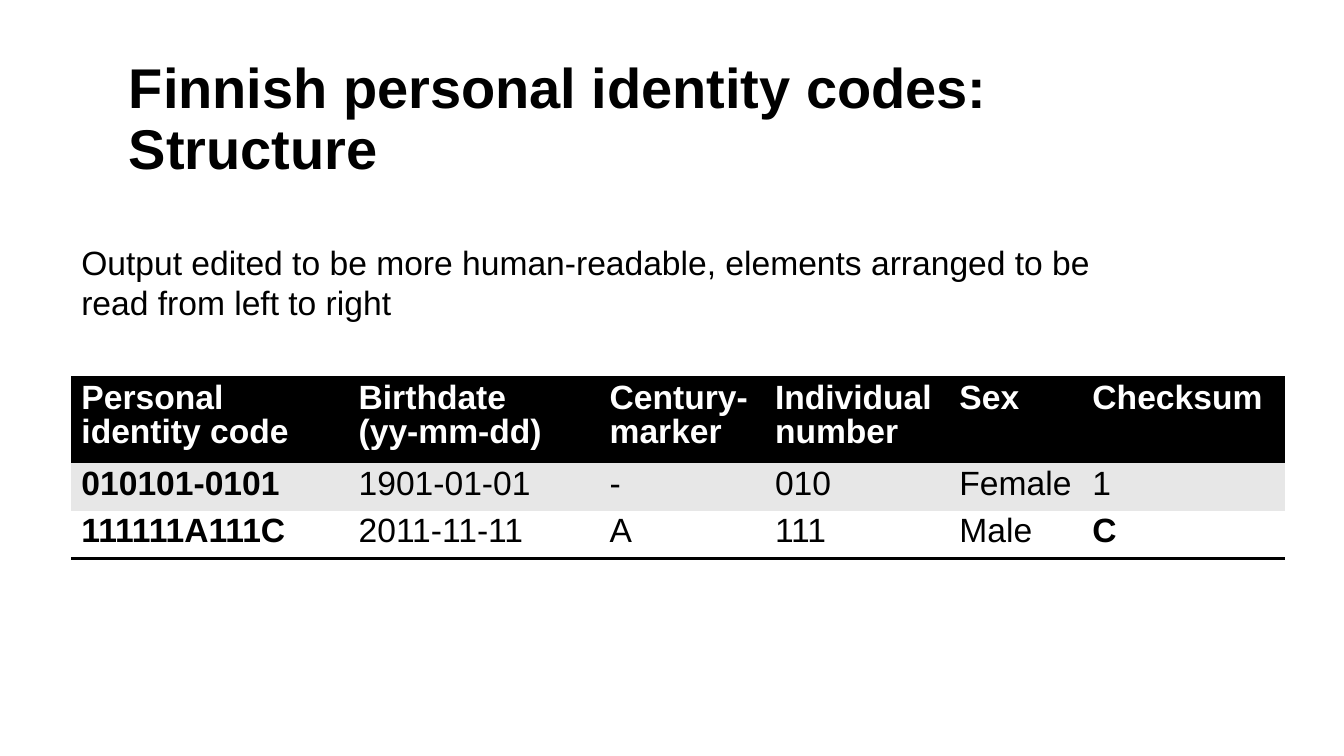
from lxml.etree import SubElement
from pptx import Presentation
from pptx.dml.color import RGBColor
from pptx.enum.text import MSO_ANCHOR as Anchor
from pptx.oxml.ns import qn
from pptx.util import Pt

COLORS = {"ink": "000000", "paper": "FFFFFF", "band": "E7E7E7"}
COLUMN_WIDTHS = [198, 179.3, 118.1, 131.8, 95, 144.7]
ROW_HEIGHTS = [61.5, 34, 34]
CODE_ROWS = [
    ["Personal identity code", "Birthdate\n(yy-mm-dd)", "Century-marker",
     "Individual number", "Sex", "Checksum"],
    ["010101-0101", "1901-01-01", "-", "010", "Female", "1"],
    ["111111A111C", "2011-11-11", "A", "111", "Male", "C"],
]
ROW_STYLES = [("ink", "paper"), ("band", "ink"), ("paper", "ink")]
BOLD_CELLS = {(1, 0), (2, 0), (2, 5)}


def color(name):
    """Return the named colour."""
    return RGBColor.from_string(COLORS[name])


def write(frame, text, size, ink="ink", bold=False, spacing=None):
    """Fill a text frame and format every run alike."""
    frame.text = text
    for para in frame.paragraphs:
        para.line_spacing = spacing
        for span in para.runs:
            span.font.name = "Arial"
            span.font.size = Pt(size)
            span.font.bold = bold
            span.font.color.rgb = color(ink)


def add_text(page, bounds, text, size, wrap=True, anchor=Anchor.TOP, **style):
    """Add a text box at the given bounds."""
    box = page.shapes.add_textbox(*map(Pt, bounds))
    box.text_frame.word_wrap = wrap
    box.text_frame.vertical_anchor = anchor
    write(box.text_frame, text, size, **style)


def add_border(cell, side, width):
    """Draw one solid border of a cell ahead of its fill."""
    properties = cell._tc.get_or_add_tcPr()
    line = SubElement(properties, qn(f"a:{side}"), w=str(Pt(width)))
    fill = SubElement(line, qn("a:solidFill"))
    SubElement(fill, qn("a:srgbClr"), val=COLORS["ink"])
    properties.insert(0, line)


def add_code_table(page, left, top):
    """Add the table that splits identity codes into their parts."""
    frame = page.shapes.add_table(
        len(CODE_ROWS), len(COLUMN_WIDTHS), Pt(left), Pt(top),
        Pt(sum(COLUMN_WIDTHS)), Pt(sum(ROW_HEIGHTS)))
    table = frame.table
    table.horz_banding = False
    for column, width in zip(table.columns, COLUMN_WIDTHS):
        column.width = Pt(width)
    for row, height in zip(table.rows, ROW_HEIGHTS):
        row.height = Pt(height)
    for r, (texts, (fill, ink)) in enumerate(zip(CODE_ROWS, ROW_STYLES)):
        for c, text in enumerate(texts):
            cell = table.cell(r, c)
            cell.fill.solid()
            cell.fill.fore_color.rgb = color(fill)
            bold = r == 0 or (r, c) in BOLD_CELLS
            write(cell.text_frame, text, 24, ink, bold, spacing=0.9)
            if r == 0:
                add_border(cell, "lnB", 0)
                add_border(cell, "lnT", 2)
            if r == len(CODE_ROWS) - 1:
                add_border(cell, "lnB", 2)
    table_properties = frame._element.graphic.graphicData.tbl.tblPr
    style = table_properties.find(qn("a:tableStyleId"))
    style.text = "{2D5ABB26-0587-4C30-8999-92F81FD0307C}"


def main():
    """Build the slide and save the deck."""
    deck = Presentation()
    deck.slide_width, deck.slide_height = Pt(960), Pt(540)
    page = deck.slides.add_slide(deck.slide_layouts[6])
    add_text(page, (85, 34.6, 798.5, 98.6),
             "Finnish personal identity codes: Structure", 40,
             anchor=Anchor.BOTTOM, bold=True, spacing=0.9)
    add_code_table(page, 51, 269.5)
    add_text(page, (51, 169.2, 748.8, 65.5),
             "Output edited to be more human-readable, elements arranged to be"
             "\nread from left to right", 24, wrap=False)
    deck.save("out.pptx")


main()
